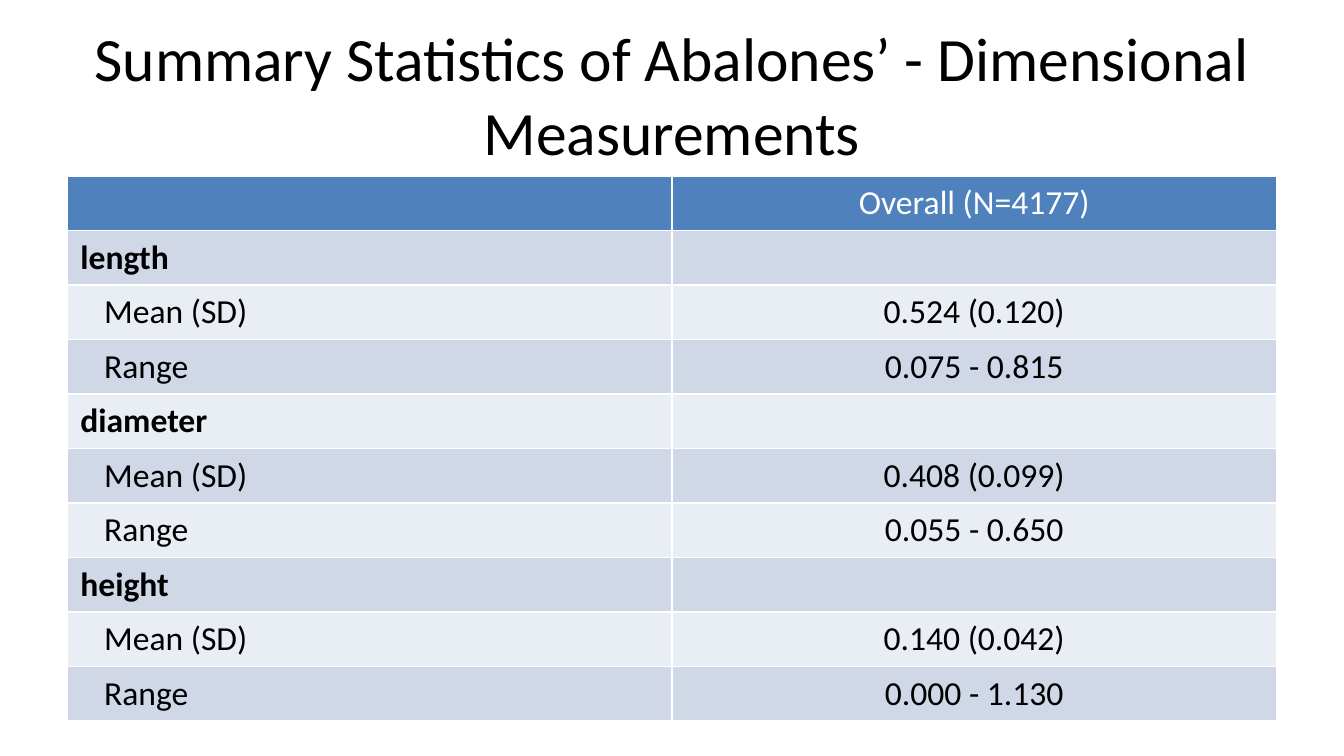
import lxml.etree
import pptx
import pptx.dml.color
import pptx.enum.text
import pptx.oxml.ns
import pptx.util

Cm = pptx.util.Cm
Pt = pptx.util.Pt
CENTER = pptx.enum.text.PP_ALIGN.CENTER
LEFT = pptx.enum.text.PP_ALIGN.LEFT
MIDDLE = pptx.enum.text.MSO_ANCHOR.MIDDLE


def color(value):
    """Return the colour for a hex string."""
    return pptx.dml.color.RGBColor.from_string(value)


class StatisticsSlide:
    """Hold the style and the current slide."""

    font = "Calibri"
    ink = "000000"
    paper = "FFFFFF"
    header = "4F81BD"
    bands = ("D0D8E8", "E9EDF4")
    title_size = 33
    table_size = 18
    margin = 0.25
    indent = 0.45

    def __init__(self, deck):
        """Add a title-only slide to the deck."""
        self.slide = deck.slides.add_slide(deck.slide_layouts[5])

    def set_text(self, frame, text, size, ink, align, bold=False):
        """Put one formatted paragraph into a text frame."""
        frame.text = text
        paragraph = frame.paragraphs[0]
        paragraph.alignment = align
        for font in [paragraph.font] + [run.font for run in paragraph.runs]:
            font.name = self.font
            font.size = Pt(size)
            font.bold = bold
            font.color.rgb = color(ink)

    def title(self, text, left, top, width, height):
        """Place and format the title."""
        heading = self.slide.shapes.title
        heading.left, heading.top = Cm(left), Cm(top)
        heading.width, heading.height = Cm(width), Cm(height)
        frame = heading.text_frame
        self.set_text(frame, text, self.title_size, self.ink, CENTER)
        frame.word_wrap = True
        frame.auto_size = pptx.enum.text.MSO_AUTO_SIZE.NONE
        frame.vertical_anchor = MIDDLE

    def borders(self, cell):
        """Draw thin lines on all four sides of a cell."""
        qn = pptx.oxml.ns.qn
        properties = cell._tc.get_or_add_tcPr()
        for place, side in enumerate("LRTB"):
            line = lxml.etree.Element(qn("a:ln" + side), w=str(Pt(1)))
            fill = lxml.etree.SubElement(line, qn("a:solidFill"))
            lxml.etree.SubElement(fill, qn("a:srgbClr"), val=self.paper)
            properties.insert(place, line)

    def table(self, rows, left, top, width, row_height):
        """Add a banded table whose group rows have no value."""
        grid = self.slide.shapes.add_table(
            len(rows), len(rows[0]), Cm(left), Cm(top),
            Cm(width), Cm(row_height * len(rows))).table
        for r, row in enumerate(rows):
            grid.rows[r].height = Cm(row_height)
            is_header = r == 0
            is_group = not is_header and not row[1]
            for c, text in enumerate(row):
                cell = grid.cell(r, c)
                cell.fill.solid()
                cell.fill.fore_color.rgb = color(
                    self.header if is_header else self.bands[(r - 1) % 2])
                self.set_text(cell.text_frame, text, self.table_size,
                              self.paper if is_header else self.ink,
                              CENTER if c else LEFT, is_group)
                is_detail = c == 0 and not is_header and not is_group
                cell.margin_left = Cm(
                    self.margin + (self.indent if is_detail else 0))
                self.borders(cell)


measurements = {
    "length": ("0.524 (0.120)", "0.075 - 0.815"),
    "diameter": ("0.408 (0.099)", "0.055 - 0.650"),
    "height": ("0.140 (0.042)", "0.000 - 1.130"),
}
summary = [("", "Overall (N=4177)")]
for dimension, (mean, spread) in measurements.items():
    summary += [(dimension, ""), ("Mean (SD)", mean), ("Range", spread)]

deck = pptx.Presentation()
deck.slide_width = Cm(25.4)
deck.slide_height = Cm(14.29)

page = StatisticsSlide(deck)
page.title("Summary Statistics of Abalones’ - Dimensional Measurements",
           1.27, 0.58, 22.86, 2.39)
page.table(summary, 1.27, 3.33, 22.86, 1.03)

deck.save("out.pptx")
